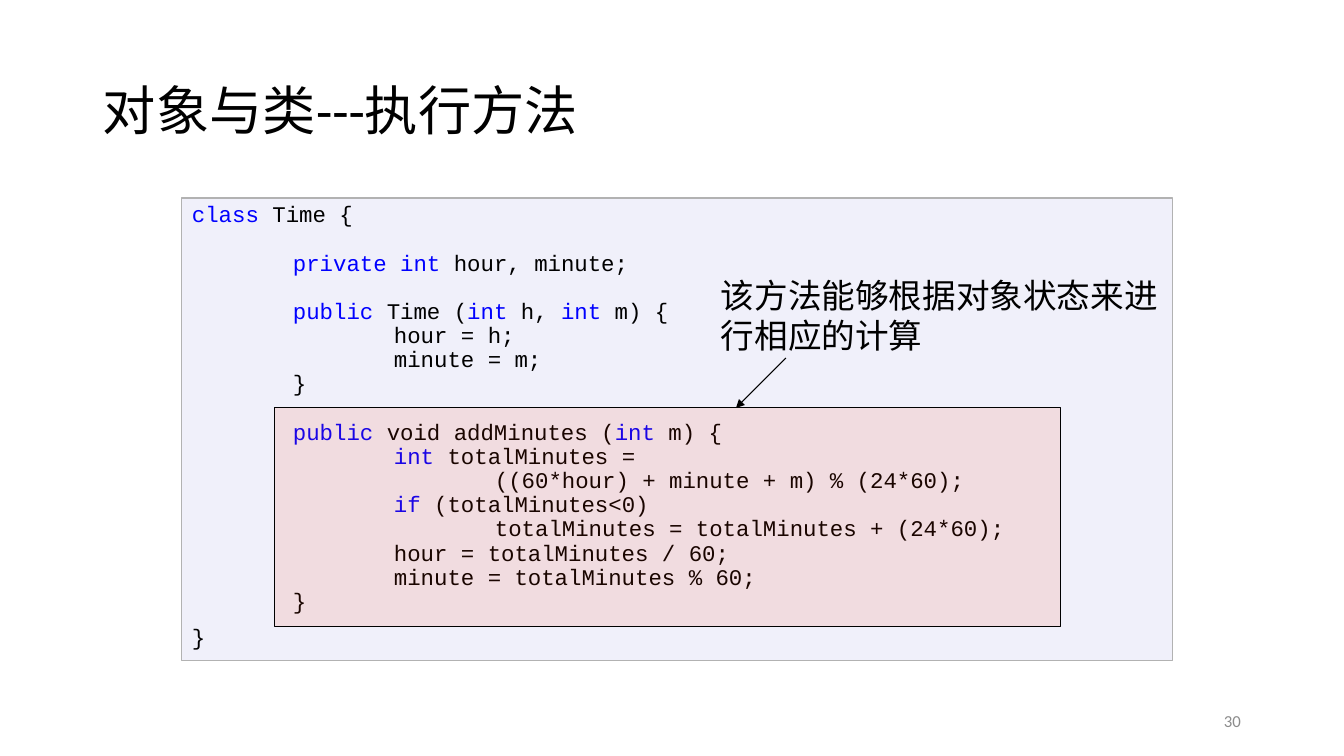
from lxml.etree import SubElement
from pptx import Presentation
from pptx.dml.color import RGBColor
from pptx.enum.shapes import MSO_CONNECTOR, MSO_SHAPE
from pptx.enum.text import MSO_ANCHOR, PP_ALIGN
from pptx.oxml.ns import qn
from pptx.util import Emu, Pt

SCALE = 914400 / 100.8
HUES = {"ink": "000000", "key": "0000FF", "page": "8C8C8C",
        "panel": "F0F0FA", "edge": "B2B2B2", "mark": "FF3300"}
PITCH = 17.25
INDENT = 101

# Space before in points, indent level, text with keywords between bars
CODE = [
    (0, 0, "|class| Time {"),
    (PITCH, 1, "|private int| hour, minute;"),
    (PITCH, 1, "|public| Time (|int| h, |int| m) {"),
    (0, 2, "hour = h;"),
    (0, 2, "minute = m;"),
    (0, 1, "}"),
    (PITCH, 1, "|public| void addMinutes (|int| m) {"),
    (0, 2, "|int| totalMinutes ="),
    (0, 3, "((60*hour) + minute + m) % (24*60);"),
    (0, 2, "|if| (totalMinutes<0)"),
    (0, 3, "totalMinutes = totalMinutes + (24*60);"),
    (0, 2, "hour = totalMinutes / 60;"),
    (0, 2, "minute = totalMinutes % 60;"),
    (0, 1, "}"),
    (PITCH / 2, 0, "}"),
]


def px(num):
    return Emu(round(num * SCALE))


def color(name):
    return RGBColor.from_string(HUES[name])


def write(par, text, size=16, font="Calibri", hue="ink", align=PP_ALIGN.LEFT,
          lead=None, gap=0, indent=0):
    par.alignment = align
    par.space_before = Pt(gap)
    if lead:
        par.line_spacing = lead
    if indent:
        par._p.get_or_add_pPr().set("marL", str(px(indent)))
    for num, part in enumerate(text.split("|")):
        if part:
            run = par.add_run()
            run.text = part
            run.font.size = Pt(size)
            run.font.name = font
            run.font.color.rgb = color("key" if num % 2 else hue)


def frame(shape, anchor=MSO_ANCHOR.TOP):
    body = shape.text_frame
    body.word_wrap = True
    body.vertical_anchor = anchor
    body.margin_left = body.margin_right = px(10)
    body.margin_top = body.margin_bottom = px(5)
    return body


def label(slide, box, text, anchor=MSO_ANCHOR.TOP, **style):
    body = frame(slide.shapes.add_textbox(*map(px, box)), anchor)
    write(body.paragraphs[0], text, **style)


def panel(slide, box, fill, edge):
    shape = slide.shapes.add_shape(MSO_SHAPE.RECTANGLE, *map(px, box))
    shape.shadow.inherit = False
    shape.fill.solid()
    shape.fill.fore_color.rgb = color(fill)
    shape.line.color.rgb = color(edge)
    shape.line.width = Pt(0.75)
    return shape


def listing(slide, box):
    body = frame(panel(slide, box, "panel", "edge"))
    for num, (gap, level, text) in enumerate(CODE):
        par = body.add_paragraph() if num else body.paragraphs[0]
        write(par, text, font="Courier New", lead=Pt(PITCH), gap=gap,
              indent=level * INDENT)


def method(slide, box):
    # Translucent highlight
    shape = panel(slide, box, "mark", "ink")
    tone = next(shape.element.spPr.iter(qn("a:srgbClr")))
    SubElement(tone, qn("a:alpha"), val="10000")


def note(slide, box):
    left, top, wide, high = box
    label(slide, box, "该方法能够根据对象状态来进行相应的计算", size=24)
    # Arrow down to the highlighted method
    line = slide.shapes.add_connector(
        MSO_CONNECTOR.STRAIGHT, px(left + 75), px(top + high - 4),
        px(left + 25), px(top + high + 46))
    line.line.color.rgb = color("ink")
    line.line.width = Pt(0.75)
    tip = line.element.spPr.find(qn("a:ln"))
    SubElement(tip, qn("a:tailEnd"), type="triangle")
    SubElement(line.element.spPr, qn("a:effectLst"))


def main():
    deck = Presentation()
    deck.slide_width, deck.slide_height = px(1344), px(756)
    slide = deck.slides.add_slide(deck.slide_layouts[6])
    # Page number
    label(slide, (949, 701, 302, 40), "30", MSO_ANCHOR.MIDDLE,
          size=12, hue="page", align=PP_ALIGN.RIGHT)
    # Code and title
    listing(slide, (182, 198, 991, 463))
    label(slide, (93, 40, 1159, 146), "对象与类---执行方法",
          MSO_ANCHOR.MIDDLE, size=38, lead=0.9)
    # Highlight and remark
    method(slide, (275, 408, 786, 219))
    note(slide, (711, 270, 462, 92))
    deck.save("out.pptx")


if __name__ == "__main__":
    main()
